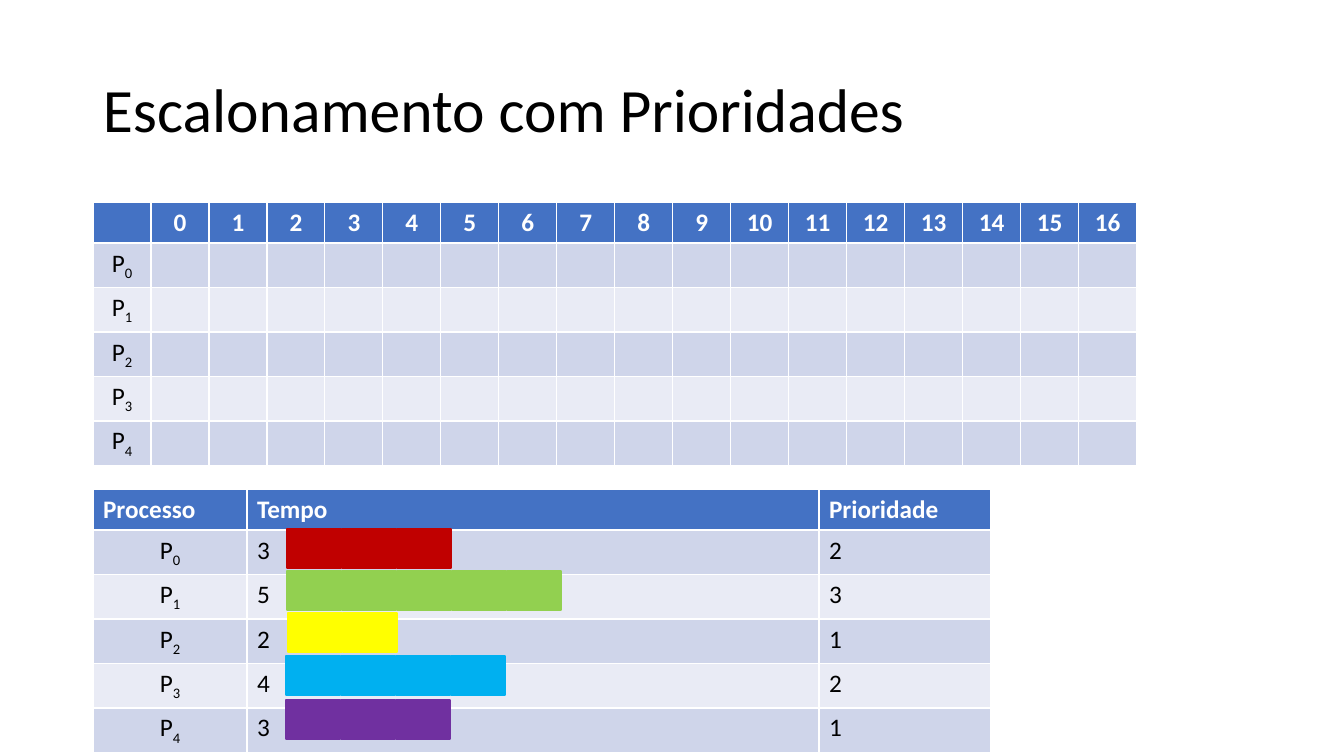
"""Build the priority scheduling slide."""
import pptx
import pptx.dml.color
import pptx.enum.shapes
import pptx.enum.text
import pptx.util

SCALE = 914400 / 100.8
HEAD, BANDS = "4472C4", ("CFD5EA", "E9EBF5")
ROW = 41
CENTER = pptx.enum.text.PP_ALIGN.CENTER
LEFT = pptx.enum.text.PP_ALIGN.LEFT
JOBS = [
    (3, 2, "C00000", 287, 529),
    (5, 3, "92D050", 287, 571),
    (2, 1, "FFFF00", 288, 613),
    (4, 2, "00B0F0", 286, 656),
    (3, 1, "7030A0", 286, 700),
]


def px(*sizes):
    """Turn pixel lengths into EMU."""
    return [pptx.util.Emu(round(size * SCALE)) for size in sizes]


def color(code):
    """Turn a hex string into a colour."""
    return pptx.dml.color.RGBColor.from_string(code)


def style(para, size, code, bold=False, align=LEFT):
    """Set the font and alignment of a paragraph."""
    para.alignment = align
    font = para.font
    font.name, font.size, font.bold = "Calibri", pptx.util.Pt(size), bold
    font.color.rgb = color(code)


def add_title(slide, text):
    """Add the slide title."""
    frame = slide.shapes.add_textbox(*px(93, 40, 1159, 146)).text_frame
    frame.word_wrap = True
    frame.vertical_anchor = pptx.enum.text.MSO_ANCHOR.MIDDLE
    para = frame.paragraphs[0]
    para.text = text
    para.line_spacing = 0.9
    style(para, 44, "000000")


def add_label(para, index):
    """Write a process name with its index as a subscript."""
    para.add_run().text = "P"
    sub = para.add_run()
    sub.text = str(index)
    sub._r.get_or_add_rPr().set("baseline", "-25000")


def add_grid(slide, top, widths, heads, rows, align):
    """Add a banded table whose first column names the processes."""
    count = len(rows) + 1
    box = px(93, top, sum(widths), ROW * count)
    table = slide.shapes.add_table(count, len(widths), *box).table
    for column, width in zip(table.columns, px(*widths)):
        column.width = width
    for r, values in enumerate([heads] + rows):
        table.rows[r].height = px(ROW)[0]
        for c, value in enumerate(values):
            cell = table.cell(r, c)
            cell.fill.solid()
            cell.fill.fore_color.rgb = color(BANDS[(r - 1) % 2] if r else HEAD)
            para = cell.text_frame.paragraphs[0]
            if r and c == 0:
                add_label(para, value)
                style(para, 18, "000000", align=CENTER)
            else:
                para.text = str(value)
                style(para, 18, "000000" if r else "FFFFFF", r == 0, align)


def add_bar(slide, left, top, count, code):
    """Add one block for each unit of time."""
    for step in range(count):
        block = slide.shapes.add_shape(
            pptx.enum.shapes.MSO_SHAPE.RECTANGLE,
            *px(left + 55 * step, top, 54, 39))
        block.shadow.inherit = False
        block.fill.solid()
        block.fill.fore_color.rgb = color(code)
        block.line.color.rgb = color(code)
        block.line.width = pptx.util.Pt(1)


def main():
    """Build and save the slide."""
    deck = pptx.Presentation()
    deck.slide_width, deck.slide_height = px(1344, 756)
    slide = deck.slides.add_slide(deck.slide_layouts[6])
    add_title(slide, "Escalonamento com Prioridades")
    times = list(range(17))
    empty = [[i] + [""] * len(times) for i in range(len(JOBS))]
    add_grid(slide, 202, [58] * 18, [""] + times, empty, CENTER)
    facts = [[i, job[0], job[1]] for i, job in enumerate(JOBS)]
    heads = ["Processo", "Tempo", "Prioridade"]
    add_grid(slide, 489, [154, 572, 172], heads, facts, LEFT)
    for time, _, code, left, top in JOBS:
        add_bar(slide, left, top, time, code)
    deck.save("out.pptx")


if __name__ == "__main__":
    main()
